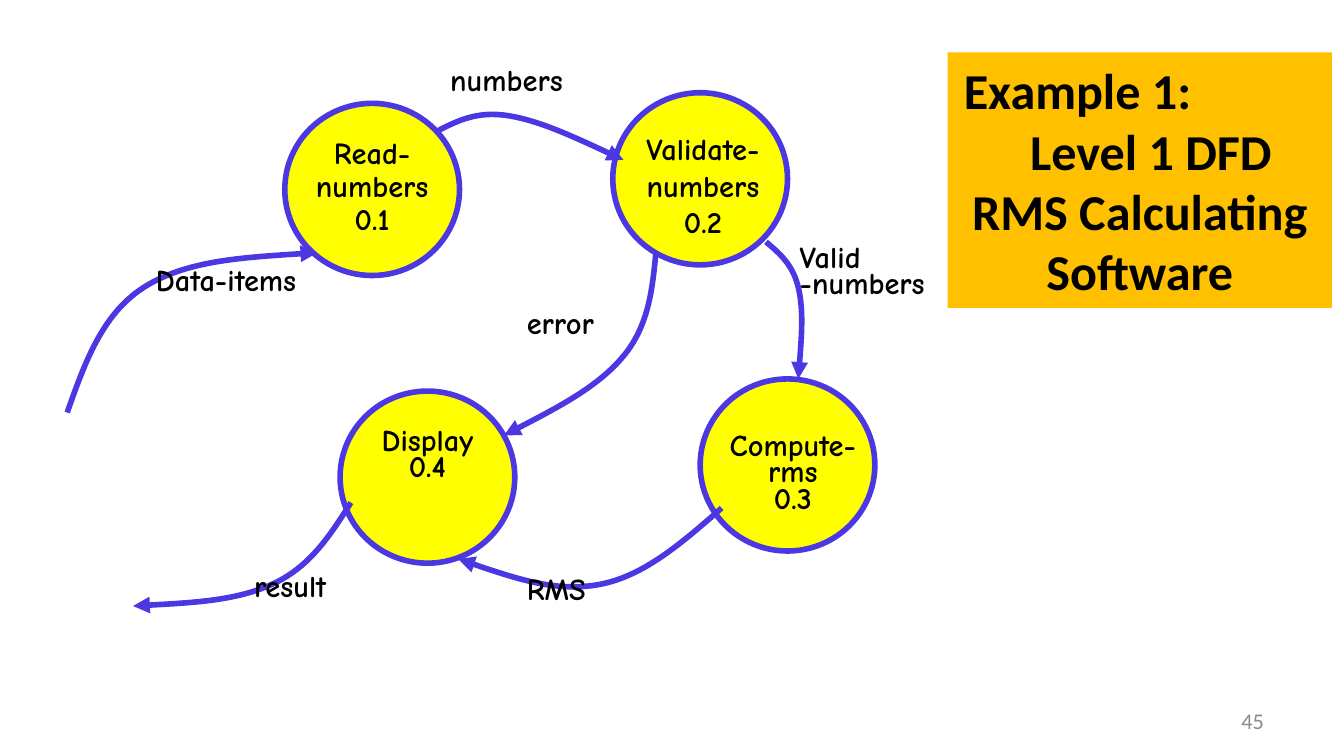
from dataclasses import dataclass

from lxml.etree import SubElement
from pptx import Presentation
from pptx.dml.color import RGBColor
from pptx.enum.shapes import MSO_SHAPE
from pptx.enum.text import MSO_ANCHOR, PP_ALIGN
from pptx.oxml.ns import qn
from pptx.util import Pt


@dataclass(frozen=True)
class Theme:
    ink = RGBColor(0x00, 0x00, 0x00)
    flow = RGBColor(0x4C, 0x38, 0xE2)
    process = RGBColor(0xFF, 0xFF, 0x00)
    banner = RGBColor(0xFF, 0xC0, 0x00)
    muted = RGBColor(0x8C, 0x8C, 0x8C)
    heading_font = "Calibri"
    label_font = "Comic Neue"
    heading_size = 26.9
    label_size = 16.3
    number_size = 12
    stroke = 3


class Diagram:
    circle_width, circle_height = 93.6, 92.2

    def __init__(self, page, theme):
        self.page = page
        self.theme = theme

    def text_box(self, left, top, width, height, insets=(0.7, 2.9)):
        box = self.page.shapes.add_textbox(Pt(left), Pt(top), Pt(width), Pt(height))
        frame = box.text_frame
        frame.word_wrap = True
        frame.margin_left = frame.margin_right = Pt(insets[0])
        frame.margin_top = frame.margin_bottom = Pt(insets[1])
        return box

    def style(self, paragraph, font, size, color, bold, align):
        paragraph.alignment = align
        paragraph.font.name = font
        paragraph.font.size = Pt(size)
        paragraph.font.color.rgb = color
        paragraph.font.bold = bold

    def banner(self, left, top, width, height, lines):
        """Draw the heading; each line is (text, alignment, left margin)."""
        box = self.text_box(left, top, width, height)
        box.fill.solid()
        box.fill.fore_color.rgb = self.theme.banner
        frame = box.text_frame
        frame.vertical_anchor = MSO_ANCHOR.MIDDLE
        for index, (text, align, margin) in enumerate(lines):
            paragraph = frame.add_paragraph() if index else frame.paragraphs[0]
            paragraph.text = text
            self.style(paragraph, self.theme.heading_font, self.theme.heading_size,
                       self.theme.ink, True, align)
            paragraph.space_before = Pt(0 if index else 4.8)
            paragraph._p.get_or_add_pPr().set("marL", str(Pt(margin)))

    def process(self, left, top):
        circle = self.page.shapes.add_shape(
            MSO_SHAPE.OVAL, Pt(left), Pt(top), Pt(self.circle_width), Pt(self.circle_height))
        circle.shadow.inherit = False
        circle.fill.solid()
        circle.fill.fore_color.rgb = self.theme.process
        circle.line.color.rgb = self.theme.flow
        circle.line.width = Pt(self.theme.stroke)

    def label(self, text, left, top, width=93.6, height=32, align=PP_ALIGN.LEFT,
              spacing=0.72, before=8.5):
        box = self.text_box(left, top, width, height)
        paragraph = box.text_frame.paragraphs[0]
        paragraph.text = text
        self.style(paragraph, self.theme.label_font, self.theme.label_size,
                   self.theme.ink, True, align)
        paragraph.line_spacing = spacing
        paragraph.space_before = Pt(before)

    def flow(self, start, middle, end):
        """Draw a smooth arrow through three points.

        The tangent at the middle point runs parallel to the chord.
        """
        sixth = [(b - a) / 6 for a, b in zip(start, end)]
        before = [m - s for m, s in zip(middle, sixth)]
        after = [m + s for m, s in zip(middle, sixth)]
        leave = [(a + b) / 2 for a, b in zip(start, before)]
        arrive = [(a + b) / 2 for a, b in zip(after, end)]
        points = [(Pt(x), Pt(y)) for x, y in (leave, before, middle, after, arrive, end)]
        builder = self.page.shapes.build_freeform(Pt(start[0]), Pt(start[1]))
        builder.add_line_segments(points, close=False)
        curve = builder.convert_to_shape()
        curve.shadow.inherit = False
        curve.fill.background()
        curve.line.color.rgb = self.theme.flow
        curve.line.width = Pt(self.theme.stroke)
        SubElement(curve.line._get_or_add_ln(), qn("a:tailEnd"), type="triangle")

        # Each three straight segments become one cubic Bézier segment.
        outline = next(curve._element.iter(qn("a:path")))
        segments = outline.findall(qn("a:lnTo"))
        for first in range(0, len(segments), 3):
            bezier = SubElement(outline, qn("a:cubicBezTo"))
            for segment in segments[first:first + 3]:
                bezier.append(segment[0])
                outline.remove(segment)

    def page_number(self, text, left, top, width, height):
        box = self.text_box(left, top, width, height, insets=(7.2, 3.6))
        box.text_frame.vertical_anchor = MSO_ANCHOR.MIDDLE
        paragraph = box.text_frame.paragraphs[0]
        paragraph.text = text
        self.style(paragraph, self.theme.heading_font, self.theme.number_size,
                   self.theme.muted, False, PP_ALIGN.RIGHT)


def main():
    deck = Presentation()
    deck.slide_width, deck.slide_height = Pt(720), Pt(405)
    page = deck.slides.add_slide(deck.slide_layouts[6])
    diagram = Diagram(page, Theme())

    diagram.banner(507.6, 28, 206, 137, [
        ("Example 1:", PP_ALIGN.LEFT, 8),
        ("Level 1 DFD", PP_ALIGN.CENTER, 12),
        ("RMS Calculating Software", PP_ALIGN.CENTER, 0),
    ])

    for left, top in [(152.6, 55.4), (182.2, 209.5), (328.3, 49.7), (375.1, 203)]:
        diagram.process(left, top)

    flows = [
        ((36, 221), (77, 154), (170, 135.4)),
        ((234.7, 70), (272.2, 62), (334, 85.7)),
        ((410.4, 129.6), (427.7, 154), (427.7, 203)),
        ((386.6, 272.2), (321.8, 313), (245.5, 299.5)),
        ((188, 269.3), (147, 312.5), (71.3, 324.7)),
        ((351.4, 135.4), (334, 190.8), (270, 233.3)),
    ]
    for start, middle, end in flows:
        diagram.flow(start, middle, end)

    center = PP_ALIGN.CENTER
    diagram.label("Read-numbers\n0.1", 152.6, 71.3, height=81, align=center,
                  spacing=0.9, before=8.8)
    diagram.label("Validate-numbers\n0.2", 329.8, 67, height=102, align=center,
                  spacing=1.0, before=8.8)
    diagram.label("Compute-rms\n0.3", 378, 230.4, height=81, align=center)
    diagram.label("Display\n0.4", 182.2, 227.5, height=56, align=center)

    diagram.label("Data-items", 82.8, 141.8, height=56)
    diagram.label("numbers", 240.5, 34.6)
    diagram.label("Valid -numbers", 427.7, 129.6, height=78.5)
    diagram.label("error", 281.5, 165)
    diagram.label("RMS", 281.5, 307.4, width=70)
    diagram.label("result", 135.4, 306, width=70)

    diagram.page_number("45", 516.2, 375, 168, 21.6)
    deck.save("out.pptx")


if __name__ == "__main__":
    main()
